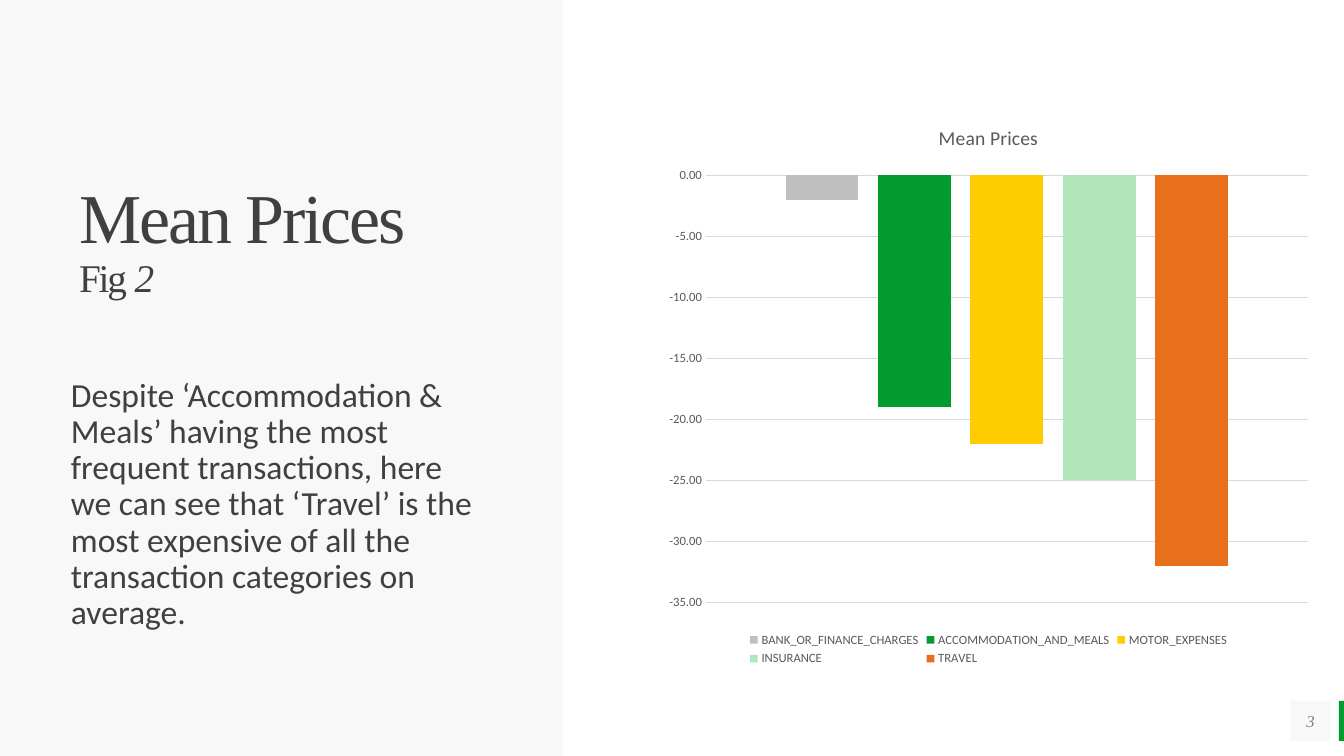
from pptx import Presentation
from pptx import util as u
from pptx.chart.data import CategoryChartData
from pptx.dml.color import RGBColor
from pptx.enum import chart as ch, shapes, text
from pptx.oxml.ns import qn
from lxml import etree

PX = 914400 / 100.8  # EMU per px


class Theme:
    serif, sans = "Times New Roman", "Calibri"
    panel, ink, muted = "F2F2F2", "404040", "808080"
    accent, grid, label = "029B2D", "D9D9D9", "595959"
    title, fig, body, page = 50, 28, 24, 12
    chart_title, chart_label = 14, 9


MEAN_PRICES = [
    ("BANK_OR_FINANCE_CHARGES", -2, "BFBFBF"),
    ("ACCOMMODATION_AND_MEALS", -19, "029B2D"),
    ("MOTOR_EXPENSES", -22, "FFCC00"),
    ("INSURANCE", -25, "B2E6B9"),
    ("TRAVEL", -32, "E86F1B"),
]


def px(*lengths):
    return [u.Emu(round(n * PX)) for n in lengths]


def rgb(color):
    return RGBColor.from_string(color)


def set_font(font, name, size, color, italic=None):
    font.name, font.size, font.italic = name, u.Pt(size), italic
    font.color.rgb = rgb(color)


def set_frame(tf, anchor, left=0, top=0):
    tf.word_wrap, tf.vertical_anchor = True, anchor
    tf.margin_left, tf.margin_top = px(left, top)
    tf.margin_right = tf.margin_bottom = 0


def add_rect(s, box, color, opacity=100):
    sp = s.shapes.add_shape(shapes.MSO_SHAPE.RECTANGLE, *px(*box))
    sp.shadow.inherit = False
    sp.line.fill.background()
    sp.fill.solid()
    sp.fill.fore_color.rgb = rgb(color)
    if opacity < 100:
        clr = sp.fill._xPr.find(".//" + qn("a:srgbClr"))
        etree.SubElement(clr, qn("a:alpha"), val=str(opacity * 1000))
    return sp


def add_text_panel(s, x, y, w, h):
    # Tinted panel with title and figure number
    sp = add_rect(s, (x, y, w, h), Theme.panel, 50)
    tf = sp.text_frame
    set_frame(tf, text.MSO_ANCHOR.TOP, 79, 183)
    p = tf.paragraphs[0]
    p.alignment, p.line_spacing = text.PP_ALIGN.LEFT, 0.9
    for words, size, italic in (("Mean Prices", Theme.title, None),
                                ("Fig", Theme.fig, None),
                                (" 2", Theme.fig, True)):
        r = p.add_run()
        r.text = words
        set_font(r.font, Theme.serif, size, Theme.ink, italic)
        r.font._element.set("spc", "-150")
        if size == Theme.title:
            p.add_line_break()

    # Commentary
    tf = s.shapes.add_textbox(*px(x + 71, y + 378, 404, 250)).text_frame
    set_frame(tf, text.MSO_ANCHOR.TOP)
    p = tf.paragraphs[0]
    p.text = ("Despite ‘Accommodation & Meals’ having the most frequent "
              "transactions, here we can see that ‘Travel’ is the most "
              "expensive of all the transaction categories on average.")
    p.line_spacing = 0.9
    set_font(p.font, Theme.sans, Theme.body, Theme.ink)


def add_price_chart(s, x, y, w, h):
    data = CategoryChartData(number_format="0.00")
    data.categories = ["1"]
    for name, value, _ in MEAN_PRICES:
        data.add_series(name, [value])
    chart = s.shapes.add_chart(ch.XL_CHART_TYPE.COLUMN_CLUSTERED,
                               *px(x, y, w, h), data).chart
    set_font(chart.font, Theme.sans, Theme.chart_label, Theme.label)

    # Title and legend
    chart.has_title = True
    p = chart.chart_title.text_frame.paragraphs[0]
    p.text = "Mean Prices"
    set_font(p.font, Theme.sans, Theme.chart_title, Theme.label)
    p.font.bold = False
    chart.chart_title.include_in_layout = False
    chart.has_legend = True
    chart.legend.position = ch.XL_LEGEND_POSITION.BOTTOM
    chart.legend.include_in_layout = False

    # Columns
    plot = chart.plots[0]
    plot.gap_width, plot.overlap, plot.vary_by_categories = 219, -27, False
    for series, (_, _, color) in zip(plot.series, MEAN_PRICES):
        series.invert_if_negative = False
        series.format.fill.solid()
        series.format.fill.fore_color.rgb = rgb(color)

    # Axes
    chart.category_axis.visible = False
    axis = chart.value_axis
    axis.minimum_scale, axis.maximum_scale, axis.major_unit = -35, 0, 5
    axis.major_tick_mark = axis.minor_tick_mark = ch.XL_TICK_MARK.NONE
    axis.format.line.fill.background()
    axis.tick_labels.number_format = "0.00"
    axis.tick_labels.number_format_is_linked = False
    grid = axis.major_gridlines.format.line
    grid.width, grid.color.rgb = u.Pt(0.75), rgb(Theme.grid)


def add_page_number(s, x, y, w, h):
    # Number tile, then accent bar at the slide edge
    tf = add_rect(s, (x, y, w, h), Theme.panel, 50).text_frame
    set_frame(tf, text.MSO_ANCHOR.MIDDLE)
    p = tf.paragraphs[0]
    p.text, p.alignment = "3", text.PP_ALIGN.CENTER
    set_font(p.font, Theme.serif, Theme.page, Theme.muted, True)
    add_rect(s, (x + w + 8, y, 5, h), Theme.accent)


def main():
    prs = Presentation()
    prs.slide_width, prs.slide_height = px(1344, 756)
    s = prs.slides.add_slide(prs.slide_layouts[6])
    add_text_panel(s, 0, 0, 563, 756)
    add_price_chart(s, 656, 104, 665, 566)
    add_page_number(s, 1290, 701, 41, 40)
    prs.save("out.pptx")


if __name__ == "__main__":
    main()
